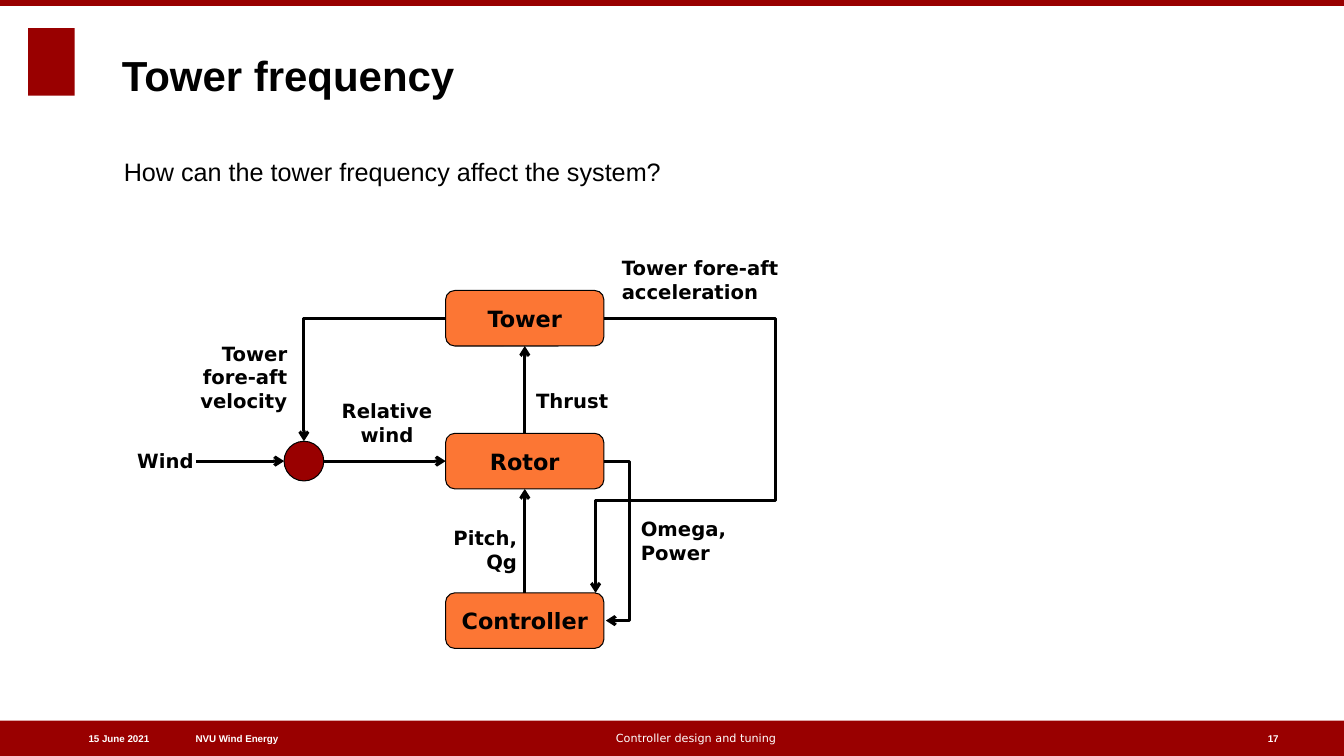
import pptx
import pptx.util
import pptx.dml.color
import pptx.enum.shapes
import pptx.enum.text
import pptx.oxml.ns
import lxml.etree

Cm = pptx.util.Cm
Pt = pptx.util.Pt
SHAPE = pptx.enum.shapes.MSO_SHAPE
ALIGN = pptx.enum.text.PP_ALIGN
ANCHOR = pptx.enum.text.MSO_ANCHOR
COLOURS = {"red": "990000", "orange": "FC7634", "black": "000000", "white": "FFFFFF"}


def rgb(name):
    """Return the named colour."""
    return pptx.dml.color.RGBColor.from_string(COLOURS[name])


def write(sp, text, size, font="Arial", bold=True, colour="black",
          align=ALIGN.LEFT, anchor=ANCHOR.TOP, inset=(0, 0)):
    """Put one formatted paragraph into a shape."""
    tf = sp.text_frame
    tf.text = text
    tf.word_wrap = True
    tf.vertical_anchor = anchor
    tf.margin_left = tf.margin_right = Cm(inset[0])
    tf.margin_top = tf.margin_bottom = Cm(inset[1])
    p = tf.paragraphs[0]
    p.alignment = align
    r = p.runs[0]
    r.font.name = font
    r.font.size = Pt(size)
    r.font.bold = bold
    r.font.color.rgb = rgb(colour)


def add_text(s, box, text, size, **style):
    """Add a text box."""
    write(s.shapes.add_textbox(*map(Cm, box)), text, size, **style)


def add_label(s, box, text, align=ALIGN.LEFT):
    """Add a signal label."""
    add_text(s, box, text, 14, font="DejaVu Sans", align=align, inset=(0.25, 0.13))


def add_filled(s, kind, box, fill, outlined=False):
    """Add a filled preset shape."""
    sp = s.shapes.add_shape(kind, *map(Cm, box))
    sp.shadow.inherit = False
    sp.fill.solid()
    sp.fill.fore_color.rgb = rgb(fill)
    if outlined:
        sp.line.color.rgb = rgb("black")
        sp.line.width = Pt(0.75)
    else:
        sp.line.fill.background()
    return sp


def add_arrow(s, *points):
    """Add an arrow through the points, ending at the last one."""
    pts = [(Cm(x), Cm(y)) for x, y in points]
    if len(pts) == 2:
        sp = s.shapes.add_connector(
            pptx.enum.shapes.MSO_CONNECTOR.STRAIGHT, *pts[0], *pts[1])
        lxml.etree.SubElement(sp._element.spPr, pptx.oxml.ns.qn("a:effectLst"))
    else:
        fb = s.shapes.build_freeform(*pts[0])
        fb.add_line_segments(pts[1:], close=False)
        sp = fb.convert_to_shape()
        sp.shadow.inherit = False
        sp.fill.background()
    sp.line.color.rgb = rgb("black")
    sp.line.width = Pt(2.25)
    ln = sp.line._get_or_add_ln()
    lxml.etree.SubElement(ln, pptx.oxml.ns.qn("a:tailEnd"), type="arrow")


def add_frame(s):
    """Add the emblem, the bars and the footer texts."""
    add_filled(s, SHAPE.RECTANGLE, (0.71, 0.71, 1.17, 1.7), "red")
    add_filled(s, SHAPE.RECTANGLE, (0, 0, 33.87, 0.15), "red")
    top, height = 18.16, 0.89
    add_filled(s, SHAPE.RECTANGLE, (0, top, 33.87, height), "red")
    for left, width, text, align in (
        (0.69, 3.07, "15 June 2021", ALIGN.RIGHT),
        (4.93, 9.45, "NVU Wind Energy", ALIGN.LEFT),
        (31.95, 1.19, "17", ALIGN.LEFT),
    ):
        add_text(s, (left, top, width, height), text, 7, colour="white",
                 align=align, anchor=ANCHOR.MIDDLE)
    add_text(s, (15.52, top, 15.27, height), "Controller design and tuning", 8,
             font="DejaVu Sans", bold=False, colour="white", anchor=ANCHOR.MIDDLE)


def add_diagram(s):
    """Add the control loop of tower, rotor and controller."""
    left, width, height = 11.23, 3.99, 1.4
    right, centre = left + width, left + width / 2
    tower, rotor, controller = 7.32, 10.92, 14.94
    tower_mid, rotor_mid, controller_mid = (
        top + height / 2 for top in (tower, rotor, controller))
    for top, name in ((tower, "Tower"), (rotor, "Rotor"), (controller, "Controller")):
        sp = add_filled(s, SHAPE.ROUNDED_RECTANGLE, (left, top, width, height),
                        "orange", outlined=True)
        write(sp, name, 16, font="DejaVu Sans", align=ALIGN.CENTER, anchor=ANCHOR.MIDDLE)

    sum_x, radius = 7.66, 0.5
    add_filled(s, SHAPE.OVAL, (sum_x - radius, rotor_mid - radius, 2 * radius, 2 * radius),
               "red", outlined=True)

    add_arrow(s, (centre, rotor), (centre, tower + height))
    add_arrow(s, (centre, controller), (centre, rotor + height))
    add_arrow(s, (4.95, rotor_mid), (sum_x - radius, rotor_mid))
    add_arrow(s, (sum_x + radius, rotor_mid), (left, rotor_mid))
    add_arrow(s, (left, tower_mid), (sum_x, tower_mid), (sum_x, rotor_mid - radius))
    add_arrow(s, (right, rotor_mid), (15.87, rotor_mid),
              (15.87, controller_mid), (right + 0.05, controller_mid))
    add_arrow(s, (right, tower_mid), (19.54, tower_mid), (19.54, 12.61),
              (15.01, 12.61), (15.01, controller))

    add_label(s, (4.7, 8.48, 2.79, 2.06), "Tower fore-aft velocity", ALIGN.RIGHT)
    add_label(s, (13.26, 9.68, 2.79, 0.86), "Thrust")
    add_label(s, (8.36, 9.93, 2.79, 1.45), "Relative wind", ALIGN.CENTER)
    add_label(s, (2.34, 11.18, 2.79, 0.86), "Wind", ALIGN.RIGHT)
    add_label(s, (15.9, 12.9, 2.79, 1.45), "Omega, Power")
    add_label(s, (10.49, 13.13, 2.79, 1.45), "Pitch, Qg", ALIGN.RIGHT)
    add_label(s, (15.42, 6.32, 4.72, 1.45), "Tower fore-aft acceleration")


def main():
    """Build and save the slide."""
    prs = pptx.Presentation()
    prs.slide_width, prs.slide_height = Cm(33.87), Cm(19.05)
    s = prs.slides.add_slide(prs.slide_layouts[6])
    add_frame(s)
    add_text(s, (3.07, 0.97, 25.86, 1.55), "Tower frequency", 30, anchor=ANCHOR.BOTTOM)
    add_text(s, (3.12, 3.94, 27.2, 13.31),
             "How can the tower frequency affect the system?", 18, bold=False)
    add_diagram(s)
    prs.save("out.pptx")


if __name__ == "__main__":
    main()
